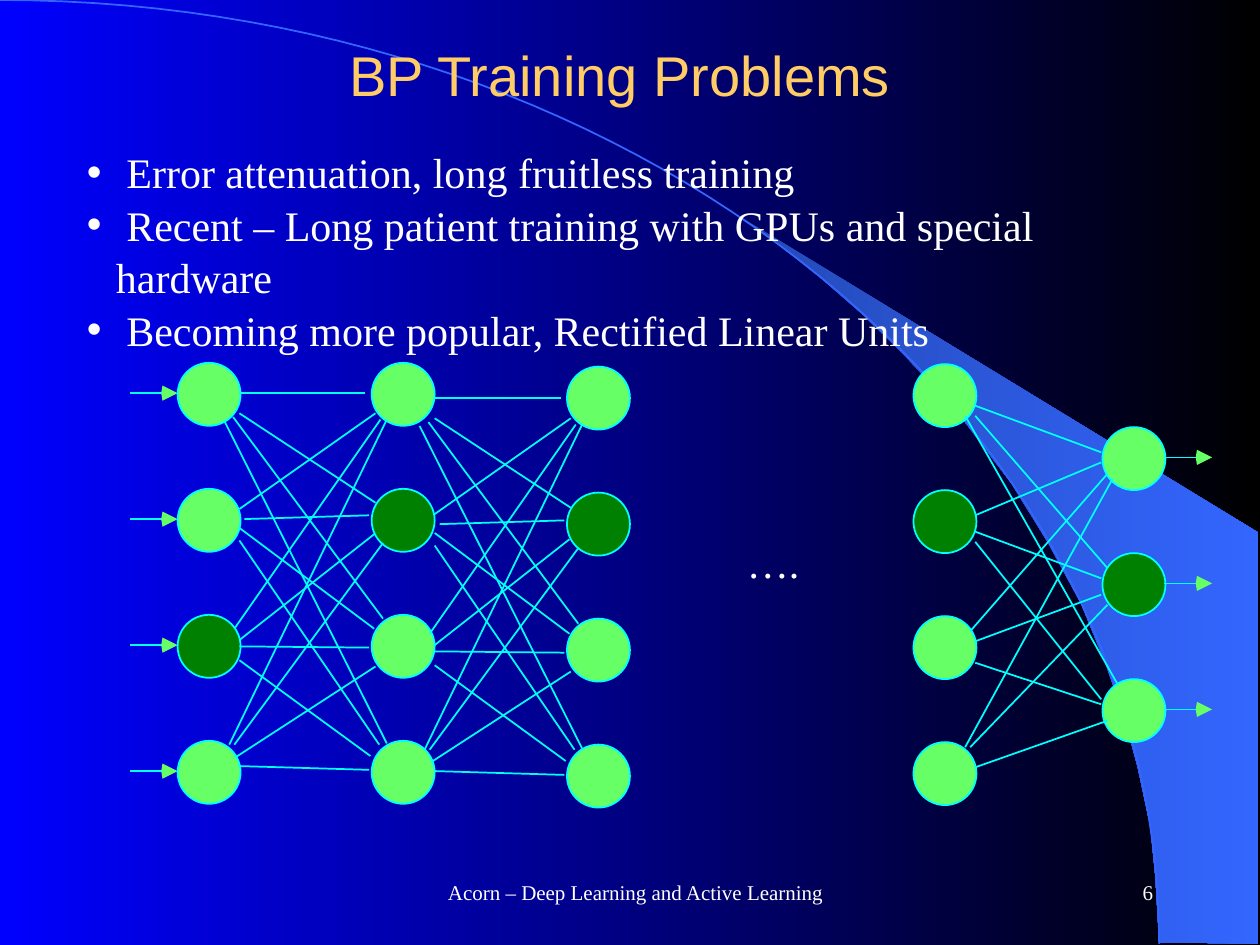
from dataclasses import dataclass

from lxml.etree import SubElement
from pptx import Presentation
from pptx.dml.color import RGBColor as RGB
from pptx.enum.shapes import MSO_CONNECTOR as CONN, MSO_SHAPE as SHAPE
from pptx.enum.text import MSO_ANCHOR as ANCHOR, MSO_AUTO_SIZE as FIT, PP_ALIGN as ALIGN
from pptx.oxml.ns import qn
from pptx.util import Emu, Inches, Pt

COLS, ROWS = 10, 7.5


@dataclass(frozen=True)
class Theme:
    """Colours, fonts and type sizes of the slide."""
    back: tuple = ("0000FF", "000000")
    band: tuple = ("2449B6", "3366FF")
    arc: str = "3366FF"
    title: str = "FFCC66"
    text: str = "FFFFFF"
    node: str = "66FF66"
    dark: str = "008000"
    edge: str = "00FFFF"
    head_font: str = "Arial"
    body_font: str = "Times New Roman"
    title_size: int = 32
    body_size: int = 24
    foot_size: int = 12
    line: float = 1


def write(tf, text, font, size, color, align=ALIGN.LEFT, anchor=ANCHOR.TOP, wrap=True,
          hang=None, spacing=None):
    """Fill a text frame, one paragraph for each line of text."""
    tf.word_wrap, tf.auto_size, tf.vertical_anchor = wrap, FIT.NONE, anchor
    for i, line in enumerate(text.split("\n")):
        p = tf.add_paragraph() if i else tf.paragraphs[0]
        p.alignment, p.space_before, p.line_spacing = align, Pt(0), spacing
        if hang:
            pPr = p._p.get_or_add_pPr()
            pPr.set("marL", str(Inches(hang)))
            pPr.set("indent", str(-Inches(hang)))
        r = p.add_run()
        r.text = line
        r.font.name, r.font.size = font, Pt(size)
        r.font.color.rgb = RGB.from_string(color)


def blend(fill, colors):
    """Give a fill a left-to-right gradient."""
    fill.gradient()
    fill.gradient_angle = 0
    for stop, color, place in zip(fill.gradient_stops, colors, (0, 1)):
        stop.color.rgb, stop.position = RGB.from_string(color), place


class Board:
    """Draws on one slide, in grid columns and rows."""

    def __init__(self, prs, theme):
        """Add a title-and-body slide with a gradient background."""
        self.theme = theme
        self.s = prs.slides.add_slide(prs.slide_layouts[1])
        self.cell = prs.slide_width / COLS
        blend(self.s.background.fill, theme.back)

    def grid(self, *cells):
        """Turn grid units into slide lengths."""
        return [Emu(round(c * self.cell)) for c in cells]

    def holder(self, idx, box, text, **fmt):
        """Move a placeholder and write in it."""
        sp = self.s.placeholders[idx]
        sp.left, sp.top, sp.width, sp.height = self.grid(*box)
        write(sp.text_frame, text, **fmt)

    def label(self, box, text, size, **fmt):
        """Add a text box in the body font."""
        sp = self.s.shapes.add_textbox(*self.grid(*box))
        write(sp.text_frame, text, self.theme.body_font, size, self.theme.text, **fmt)

    def outline(self, points, close=True):
        """Add a freeform without line through the points."""
        pts = [tuple(self.grid(*pt)) for pt in points]
        builder = self.s.shapes.build_freeform(*pts[0], scale=1.0)
        builder.add_line_segments(pts[1:], close=close)
        sp = builder.convert_to_shape()
        sp.shadow.inherit = False
        sp.line.fill.background()
        return sp

    def to_back(self, sp, level):
        """Place a shape behind the text."""
        self.s.shapes._spTree.insert(2 + level, sp._element)

    def band(self, points):
        """Add the gradient band of the backdrop."""
        sp = self.outline(points)
        blend(sp.fill, self.theme.band)
        self.to_back(sp, 0)

    def arc(self, points):
        """Add the open curve of the backdrop."""
        sp = self.outline(points, close=False)
        sp.fill.background()
        sp.line.color.rgb = RGB.from_string(self.theme.arc)
        sp.line.width = Pt(self.theme.line)
        self.to_back(sp, 1)

    def node(self, x, y, dark):
        """Add one network unit."""
        sp = self.s.shapes.add_shape(SHAPE.OVAL, *self.grid(x, y, 0.5, 0.5))
        sp.shadow.inherit = False
        sp.fill.solid()
        sp.fill.fore_color.rgb = RGB.from_string(self.theme.dark if dark else self.theme.node)
        sp.line.color.rgb = RGB.from_string(self.theme.edge)
        sp.line.width = Pt(self.theme.line)

    def edge(self, x1, y1, x2, y2):
        """Add one straight link."""
        c = self.s.shapes.add_connector(CONN.STRAIGHT, *self.grid(x1, y1, x2, y2))
        c.line.color.rgb = RGB.from_string(self.theme.edge)
        c.line.width = Pt(self.theme.line)
        SubElement(c._element.spPr, qn("a:effectLst"))

    def arrow(self, x, y):
        """Add a short link with a solid head."""
        self.edge(x, y, x + 0.26, y)
        sp = self.outline([(x + 0.26, y + 0.06), (x + 0.25, y), (x + 0.26, y - 0.06),
                           (x + 0.38, y)])
        sp.fill.solid()
        sp.fill.fore_color.rgb = RGB.from_string(self.theme.node)


BAND = [(9.2, 7.48), (9.99, 7.49), (9.99, 4.23), (5.89, 1.73), (6.24, 1.99), (6.53, 2.22),
        (6.85, 2.5), (7.16, 2.8), (7.62, 3.3), (8.03, 3.84), (8.32, 4.31), (8.58, 4.79),
        (8.78, 5.28), (8.93, 5.72), (9.03, 6.09), (9.13, 6.56), (9.17, 6.96)]
LAYERS = [(1.41, 2.88, 4, 2), (2.95, 2.88, 4, 1), (4.5, 2.91, 4, 1),
          (7.25, 2.89, 4, 1), (8.75, 3.39, 3, 1)]
HIDDEN = [(1.9, 3.12, 2.9, 3.12), (1.9, 4.04, 2.98, 3.28), (1.86, 4.99, 3.02, 3.33),
          (1.82, 5.91, 3.07, 3.33), (1.9, 3.28, 2.98, 3.99), (1.94, 4.12, 2.93, 4.09),
          (1.9, 5.08, 2.97, 4.24), (1.86, 5.91, 3.04, 4.31), (1.85, 3.31, 3.04, 4.91),
          (1.9, 4.19, 2.97, 4.99), (1.9, 5.13, 2.93, 5.14), (1.87, 6.01, 2.98, 5.29),
          (1.78, 3.34, 3.07, 5.9), (1.9, 4.29, 3.01, 5.91), (1.9, 5.24, 2.94, 6),
          (1.9, 6.08, 2.93, 6.11)]
OUTPUT = [(7.74, 3.22, 8.74, 3.59), (7.74, 4.09, 8.74, 3.67), (7.7, 5.01, 8.79, 3.76),
          (7.66, 5.93, 8.83, 3.8), (7.74, 3.3, 8.79, 4.51), (7.74, 4.22, 8.74, 4.59),
          (7.74, 5.09, 8.74, 4.72), (7.7, 5.93, 8.79, 4.8), (7.66, 3.3, 8.87, 5.43),
          (7.74, 4.3, 8.74, 5.55), (7.74, 5.26, 8.74, 5.59), (7.74, 6.09, 8.79, 5.72)]
BULLETS = """ Error attenuation, long fruitless training
 Recent – Long patient training with GPUs and special hardware
 Becoming more popular, Rectified Linear Units"""


def curve(t):
    """Return the point of the backdrop curve at share t."""
    u = 1 - t
    return (3 * u * u * t * 5.08 + 3 * u * t * t * 9.2 + t ** 3 * 9.2,
            3 * u * t * t * 3.35 + t ** 3 * 7.49)


def main():
    """Build the slide and save it."""
    prs = Presentation()
    prs.slide_width, prs.slide_height = Inches(COLS), Inches(ROWS)
    th = Theme()
    b = Board(prs, th)
    b.band(BAND)
    b.arc([curve(i / 60) for i in range(61)])
    b.holder(0, (0.67, 0.25, 8.5, 0.67), "BP Training Problems", font=th.head_font,
             size=th.title_size, color=th.title, align=ALIGN.CENTER, anchor=ANCHOR.MIDDLE)
    b.holder(1, (0.59, 1.1, 8.93, 1.72), BULLETS, font=th.body_font, size=th.body_size,
             color=th.text, hang=0.23, spacing=1.04)
    for x, y, count, dark in LAYERS:
        for i in range(count):
            b.node(x, y + i, i == dark)
    for dx, dy in ((0, 0), (1.55, 0.04)):
        for x1, y1, x2, y2 in HIDDEN:
            b.edge(x1 + dx, y1 + dy, x2 + dx, y2 + dy)
    for link in OUTPUT:
        b.edge(*link)
    for x, y, count in ((1.03, 3.12, 4), (9.24, 3.63, 3)):
        for i in range(count):
            b.arrow(x, y + i)
    b.label((5.83, 4.21, 0.62, 0.5), "….", th.body_size, wrap=False)
    b.label((3.17, 6.83, 3.75, 0.5), "Acorn – Deep Learning and Active Learning",
            th.foot_size, align=ALIGN.CENTER, anchor=ANCHOR.MIDDLE)
    b.label((7.17, 6.83, 2.08, 0.5), "6", th.foot_size, align=ALIGN.RIGHT,
            anchor=ANCHOR.MIDDLE)
    prs.save("out.pptx")


main()
